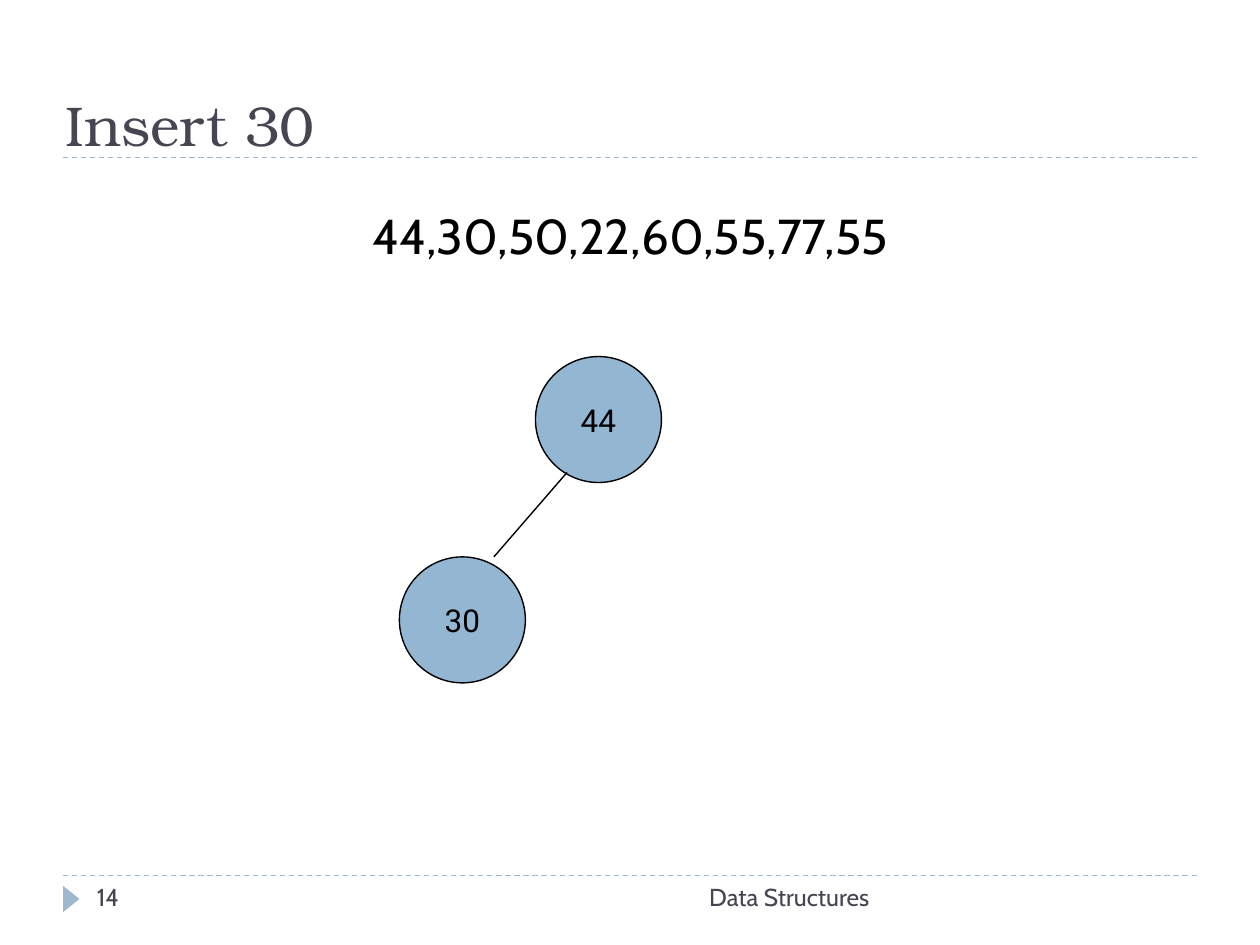
from lxml import etree
from pptx import Presentation
from pptx import util as u
from pptx.dml.color import RGBColor
from pptx.enum import dml, shapes, text
from pptx.oxml.ns import qn

BLACK = RGBColor(0x00, 0x00, 0x00)
SLATE = RGBColor(0x46, 0x46, 0x53)
RULE_BLUE = RGBColor(0x9F, 0xB8, 0xCD)
NODE_BLUE = RGBColor(0x93, 0xB6, 0xD2)
NODE_SIZE = 1


def write_text(frame, words, font="Cabin", size=14, color=SLATE,
               align=text.PP_ALIGN.LEFT, anchor=text.MSO_ANCHOR.TOP,
               before=0, spacing=1.0, margins=(0.1, 0.05, 0.1, 0.05)):
    """Fill a text frame with one formatted paragraph; margins are left, top, right, bottom."""
    frame.word_wrap = True
    frame.vertical_anchor = anchor
    (frame.margin_left, frame.margin_top,
     frame.margin_right, frame.margin_bottom) = map(u.Inches, margins)
    paragraph = frame.paragraphs[0]
    paragraph.alignment = align
    paragraph.space_before = u.Pt(before)
    paragraph.line_spacing = spacing
    run = paragraph.add_run()
    run.text = words
    run.font.name = font
    run.font.size = u.Pt(size)
    run.font.color.rgb = color


class TreeSlide:
    """Holds the slide and the shared style of its elements."""

    def __init__(self, slide, edge_width=0.78, rule_width=0.75):
        self.slide = slide
        self.edge_width = edge_width
        self.rule_width = rule_width

    def label(self, words, left, top, width, height, **style):
        box = self.slide.shapes.add_textbox(*map(u.Inches, (left, top, width, height)))
        write_text(box.text_frame, words, **style)

    def line(self, start, end, color, width):
        connector = self.slide.shapes.add_connector(
            shapes.MSO_CONNECTOR.STRAIGHT, *map(u.Inches, (*start, *end)))
        connector.line.color.rgb = color
        connector.line.width = u.Pt(width)
        etree.SubElement(connector._element.spPr, qn("a:effectLst"))
        return connector

    def rule(self, top):
        connector = self.line((0.5, top), (9.5, top), RULE_BLUE, self.rule_width)
        connector.line.dash_style = dml.MSO_LINE.DASH

    def edge(self, start, end):
        self.line(start, end, BLACK, self.edge_width)

    def solid(self, kind, left, top, width, height, color):
        shape = self.slide.shapes.add_shape(
            kind, *map(u.Inches, (left, top, width, height)))
        shape.shadow.inherit = False
        shape.fill.solid()
        shape.fill.fore_color.rgb = color
        shape.line.fill.background()
        return shape

    def marker(self, left, top, width, height):
        shape = self.solid(shapes.MSO_SHAPE.ISOSCELES_TRIANGLE,
                           left, top, width, height, RULE_BLUE)
        shape.rotation = 90

    def node(self, value, left, top):
        shape = self.solid(shapes.MSO_SHAPE.OVAL, left, top,
                           NODE_SIZE, NODE_SIZE, NODE_BLUE)
        shape.line.color.rgb = BLACK
        shape.line.width = u.Pt(self.edge_width)
        write_text(shape.text_frame, value, font="Roboto", size=18, color=BLACK,
                   align=text.PP_ALIGN.CENTER, anchor=text.MSO_ANCHOR.MIDDLE,
                   margins=(0, 0, 0, 0))


def main():
    presentation = Presentation()
    presentation.slide_width = u.Inches(10)
    presentation.slide_height = u.Inches(7.5)
    tree = TreeSlide(presentation.slides.add_slide(presentation.slide_layouts[6]))

    for top in (6.95, 1.25):
        tree.rule(top)
    tree.marker(0.46, 7.07, 0.21, 0.13)
    tree.label("Insert 30", 0.17, 0.7, 9, 0.55, font="TeX Gyre Bonum", size=32,
               anchor=text.MSO_ANCHOR.BOTTOM, before=1, margins=(0.35, 0.01, 0, 0))

    tree.node("44", 4.25, 2.83)
    tree.node("30", 3.17, 4.42)
    tree.edge((4.5, 3.75), (3.92, 4.42))

    tree.label("44,30,50,22,60,55,77,55", 2.5, 1.67, 5, 0.48, size=28, color=BLACK,
               align=text.PP_ALIGN.CENTER, before=6, spacing=0.8)
    tree.label("Data Structures", 3.17, 6.95, 3.83, 0.4, align=text.PP_ALIGN.RIGHT)
    tree.label("14", 0.67, 6.95, 2.17, 0.4)

    presentation.save("out.pptx")


if __name__ == "__main__":
    main()
